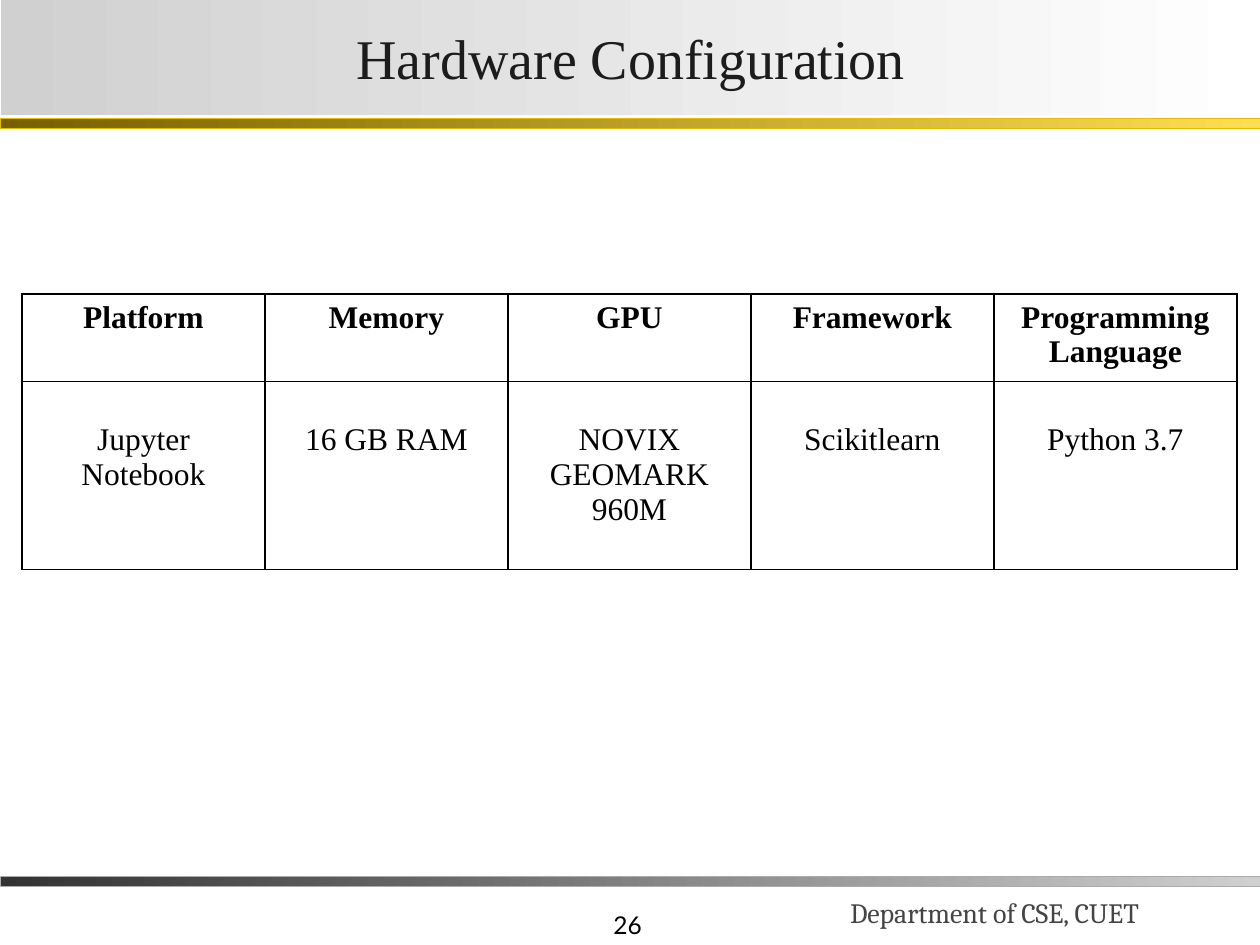
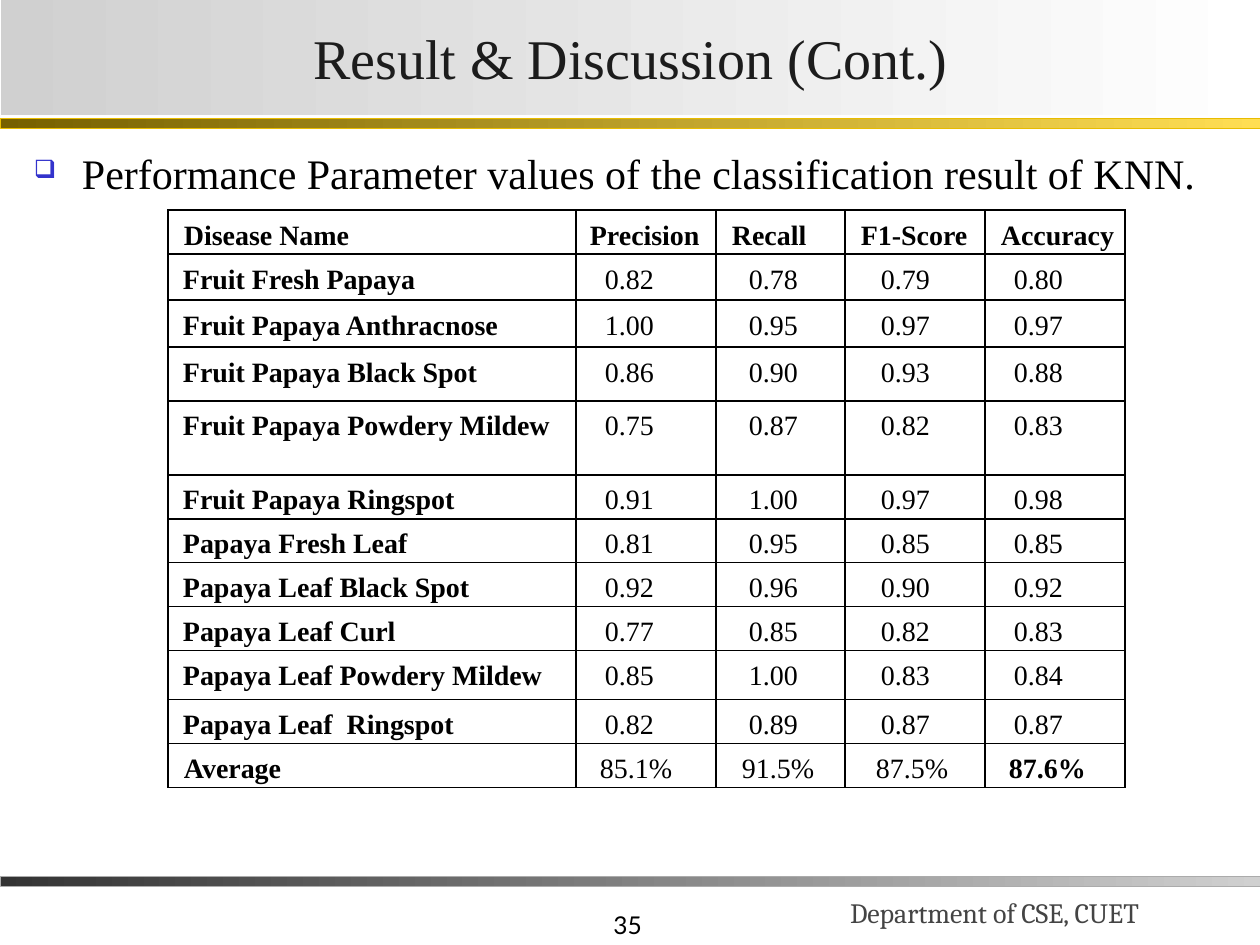
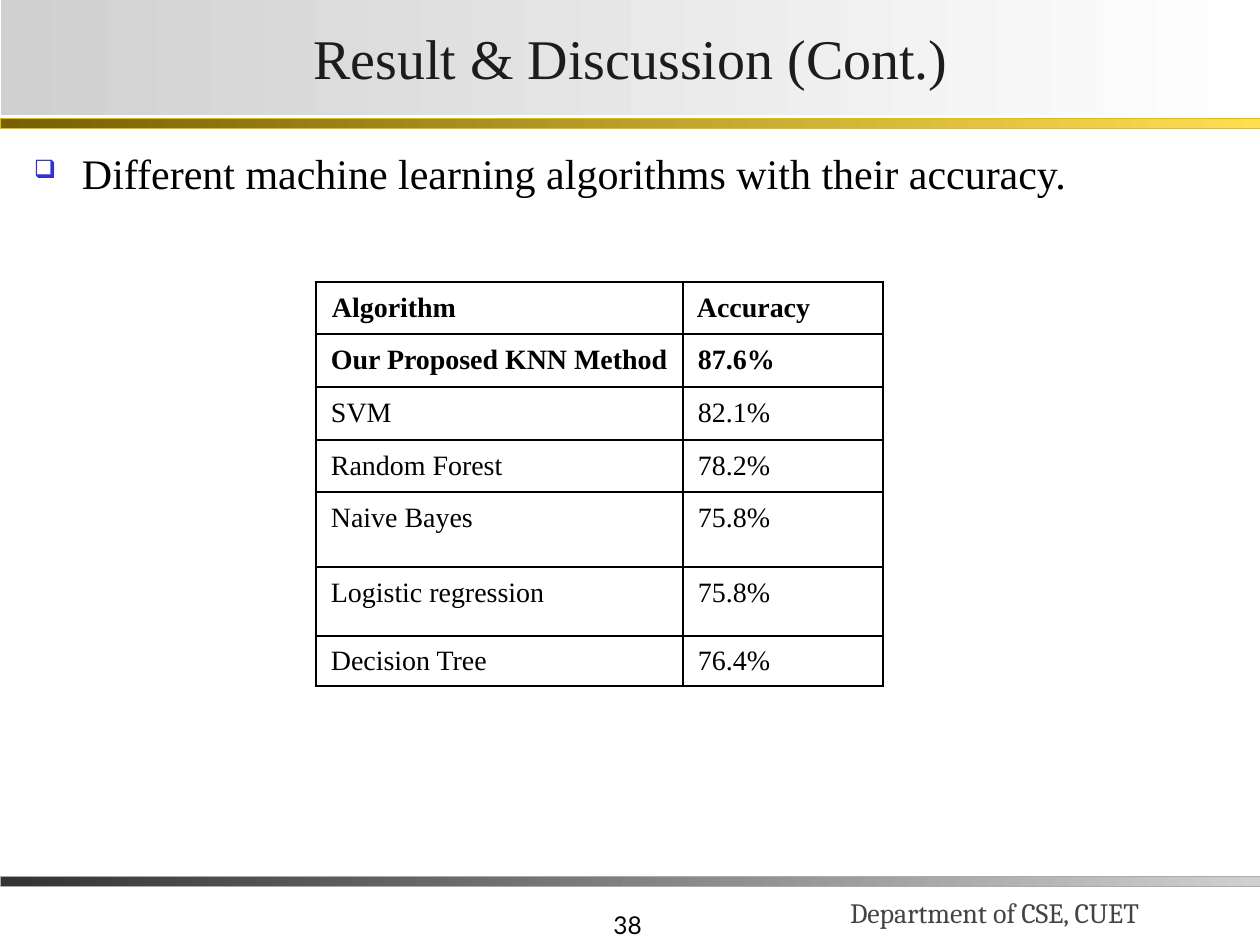
"""Build three project-report slides with shared bands, titles and ruled tables."""
from dataclasses import dataclass
from typing import Any, Optional

import lxml.etree
import pptx
import pptx.dml.color
import pptx.enum.shapes
import pptx.enum.text
import pptx.oxml.ns
import pptx.util

PIXELS_PER_INCH = 126
ALIGN = pptx.enum.text.PP_ALIGN
ANCHOR = pptx.enum.text.MSO_ANCHOR


@dataclass(frozen=True)
class Theme:
    serif: str = "Times New Roman"
    footer_font: str = "Cambria"
    number_font: str = "Lato"
    title_size: int = 32
    body_size: int = 24
    hardware_size: int = 18
    result_size: int = 16
    footer_size: int = 16
    number_size: int = 14
    black: str = "000000"
    white: str = "FFFFFF"
    title_ink: str = "1C1C1C"
    footer_ink: str = "444444"
    bullet_ink: str = "3333CC"
    silver: str = "D0D0D0"


THEME = Theme()


@dataclass(frozen=True)
class Area:
    left: int
    top: int
    width: int
    height: int


@dataclass(frozen=True)
class Band:
    area: Area
    start: str
    end: str
    outline: Optional[str] = None


@dataclass(frozen=True)
class Margins:
    left: int = 13
    top: int = 6
    right: int = 13
    bottom: int = 6


@dataclass(frozen=True)
class RowStyle:
    height: int
    indents: tuple[int, ...]
    margins: Margins
    bold: bool = False


@dataclass(frozen=True)
class Grid:
    left: int
    top: int
    columns: tuple[int, ...]
    styles: tuple[RowStyle, ...]
    rows: tuple[tuple[str, ...], ...]
    size: int
    align: Any = ALIGN.LEFT
    line_spacing: float = 1.0
    bold_columns: int = 0
    bold_text: str = ""


@dataclass(frozen=True)
class Page:
    title: str
    number: str
    grid: Grid
    statement: str = ""


FOOTER_BAND = Band(Area(0, 876, 1260, 10), "333333", THEME.silver, "ABABAB")
GOLD_BAND = Band(Area(0, 118, 1260, 10), "766000", "FFDE53", "E8BC00")
TITLE_BAND = Band(Area(1, 0, 1260, 115), THEME.silver, THEME.white)
NUMBER_AREA = Area(393, 882, 262, 63)
FOOTER_AREA = Area(837, 857, 433, 78)
STATEMENT_AREA = Area(21, 136, 1191, 746)
STATEMENT_INDENT = 48

SNUG = Margins(14, 8, 5, 0)
HARDWARE_GRID = Grid(
    left=22, top=294, columns=(243,) * 5, size=THEME.hardware_size, align=ALIGN.CENTER,
    styles=(
        RowStyle(84, (0,) * 5, Margins(), bold=True),
        RowStyle(188, (0,) * 5, Margins(top=41)),
    ),
    rows=(
        ("Platform", "Memory", "GPU", "Framework", "Programming Language"),
        ("Jupyter Notebook", "16 GB RAM", "NOVIX GEOMARK\n960M", "Scikitlearn", "Python 3.7"),
    ),
)
SCORE_GRID = Grid(
    left=168, top=210, columns=(408, 140, 129, 140, 140), size=THEME.result_size,
    line_spacing=1.07, bold_columns=1, bold_text="87.6%",
    styles=(
        RowStyle(42, (2, 0, 2, 2, 2), SNUG, bold=True),
        *(RowStyle(height, (1, 15, 19, 22, 15), SNUG)
          for height in (46, 47, 54, 74, 44, 41, 41, 41, 49, 41)),
        RowStyle(41, (2, 10, 12, 17, 10), SNUG),
    ),
    rows=(
        ("Disease Name", "Precision", "Recall", "F1-Score", "Accuracy"),
        ("Fruit Fresh Papaya", "0.82", "0.78", "0.79", "0.80"),
        ("Fruit Papaya Anthracnose", "1.00", "0.95", "0.97", "0.97"),
        ("Fruit Papaya Black Spot", "0.86", "0.90", "0.93", "0.88"),
        ("Fruit Papaya Powdery Mildew", "0.75", "0.87", "0.82", "0.83"),
        ("Fruit Papaya Ringspot", "0.91", "1.00", "0.97", "0.98"),
        ("Papaya Fresh Leaf", "0.81", "0.95", "0.85", "0.85"),
        ("Papaya Leaf Black Spot", "0.92", "0.96", "0.90", "0.92"),
        ("Papaya Leaf Curl", "0.77", "0.85", "0.82", "0.83"),
        ("Papaya Leaf Powdery Mildew", "0.85", "1.00", "0.83", "0.84"),
        ("Papaya Leaf  Ringspot", "0.82", "0.89", "0.87", "0.87"),
        ("Average", "85.1%", "91.5%", "87.5%", "87.6%"),
    ),
)
ALGORITHM_GRID = Grid(
    left=316, top=282, columns=(367, 200), size=THEME.result_size, line_spacing=1.07,
    styles=(
        RowStyle(52, (2, 0), SNUG, bold=True),
        RowStyle(53, (1, 1), SNUG, bold=True),
        *(RowStyle(height, (1, 1), SNUG) for height in (53, 52, 75, 69, 50)),
    ),
    rows=(
        ("Algorithm", "Accuracy"),
        ("Our Proposed KNN Method", "87.6%"),
        ("SVM", "82.1%"),
        ("Random Forest", "78.2%"),
        ("Naive Bayes", "75.8%"),
        ("Logistic regression", "75.8%"),
        ("Decision Tree", "76.4%"),
    ),
)
PAGES = (
    Page("Hardware Configuration", "26", HARDWARE_GRID),
    Page("Result & Discussion (Cont.)", "35", SCORE_GRID,
         "Performance Parameter values of the classification result of KNN."),
    Page("Result & Discussion (Cont.)", "38", ALGORITHM_GRID,
         "Different machine learning algorithms with their accuracy."),
)


def px(length: int) -> int:
    return pptx.util.Emu(round(length * 914400 / PIXELS_PER_INCH))


def bounds(area: Area) -> tuple[int, ...]:
    return px(area.left), px(area.top), px(area.width), px(area.height)


def rgb(value: str) -> pptx.dml.color.RGBColor:
    return pptx.dml.color.RGBColor.from_string(value)


def add_element(parent: Any, tag: str, **attributes: str) -> Any:
    return lxml.etree.SubElement(parent, pptx.oxml.ns.qn(tag), attributes)


def set_margins(target: Any, margins: Margins) -> None:
    target.margin_left, target.margin_top = px(margins.left), px(margins.top)
    target.margin_right, target.margin_bottom = px(margins.right), px(margins.bottom)


def write_text(frame: Any, text: str, *, size: int, font: str = THEME.serif,
               color: str = THEME.black, bold: bool = False, align: Any = ALIGN.LEFT,
               line_spacing: float = 1.0, indent: int = 0, bullet: str = "") -> None:
    frame.word_wrap = True
    for index, line in enumerate(text.split("\n")):
        para = frame.add_paragraph() if index else frame.paragraphs[0]
        para.alignment = align
        para.line_spacing = line_spacing
        properties = para._p.get_or_add_pPr()
        properties.set("marL", str(px(indent)))
        if bullet:
            properties.set("indent", str(-px(indent)))
            ink = add_element(properties, "a:buClr")
            add_element(ink, "a:srgbClr", val=THEME.bullet_ink)
            add_element(properties, "a:buSzPct", val="60000")
            add_element(properties, "a:buChar", char=bullet)
        span = para.add_run()
        span.text = line
        span.font.name = font
        span.font.size = pptx.util.Pt(size)
        span.font.bold = bold
        span.font.color.rgb = rgb(color)


def add_text_box(slide: Any, area: Area, text: str, *, anchor: Any = ANCHOR.TOP,
                 margins: Margins = Margins(), **text_format: Any) -> None:
    box = slide.shapes.add_textbox(*bounds(area))
    box.text_frame.vertical_anchor = anchor
    set_margins(box.text_frame, margins)
    write_text(box.text_frame, text, **text_format)


def add_band(slide: Any, band: Band) -> Any:
    shape = slide.shapes.add_shape(pptx.enum.shapes.MSO_SHAPE.RECTANGLE, *bounds(band.area))
    shape.shadow.inherit = False
    shape.fill.gradient()
    shape.fill.gradient_angle = 0
    for stop, color in zip(shape.fill.gradient_stops, (band.start, band.end)):
        stop.color.rgb = rgb(color)
    if band.outline:
        shape.line.color.rgb = rgb(band.outline)
        shape.line.width = pptx.util.Pt(0.25)
    else:
        shape.line.fill.background()
    return shape


def add_frame(slide: Any, page: Page) -> None:
    add_text_box(slide, NUMBER_AREA, page.number, anchor=ANCHOR.BOTTOM, align=ALIGN.RIGHT,
                 size=THEME.number_size, font=THEME.number_font)
    add_text_box(slide, FOOTER_AREA, "Department of CSE, CUET", anchor=ANCHOR.BOTTOM,
                 size=THEME.footer_size, font=THEME.footer_font, color=THEME.footer_ink)
    add_band(slide, FOOTER_BAND)
    add_band(slide, GOLD_BAND)
    title = add_band(slide, TITLE_BAND).text_frame
    title.vertical_anchor = ANCHOR.MIDDLE
    set_margins(title, Margins(2, 1, 2, 1))
    write_text(title, page.title, size=THEME.title_size, color=THEME.title_ink,
               align=ALIGN.CENTER)


def style_cell(cell: Any, margins: Margins) -> None:
    set_margins(cell, margins)
    properties = cell._tc.get_or_add_tcPr()
    for side in ("a:lnL", "a:lnR", "a:lnT", "a:lnB"):
        border = add_element(properties, side, w=str(pptx.util.Pt(1)))
        fill = add_element(border, "a:solidFill")
        add_element(fill, "a:srgbClr", val=THEME.black)
    cell.fill.solid()
    cell.fill.fore_color.rgb = rgb(THEME.white)


def add_grid(slide: Any, grid: Grid) -> None:
    area = Area(grid.left, grid.top, sum(grid.columns),
                sum(style.height for style in grid.styles))
    table = slide.shapes.add_table(len(grid.rows), len(grid.columns), *bounds(area)).table
    table.first_row = table.horz_banding = False
    for column, width in zip(table.columns, grid.columns):
        column.width = px(width)
    for row, style, texts in zip(table.rows, grid.styles, grid.rows):
        row.height = px(style.height)
        for index, (cell, text) in enumerate(zip(row.cells, texts)):
            style_cell(cell, style.margins)
            bold = style.bold or index < grid.bold_columns or text == grid.bold_text
            write_text(cell.text_frame, text, size=grid.size, bold=bold, align=grid.align,
                       line_spacing=grid.line_spacing, indent=style.indents[index])


def main() -> None:
    deck = pptx.Presentation()
    deck.slide_width, deck.slide_height = px(1260), px(945)
    for page in PAGES:
        slide = deck.slides.add_slide(deck.slide_layouts[6])
        add_frame(slide, page)
        if page.statement:
            add_text_box(slide, STATEMENT_AREA, page.statement, margins=Margins(top=11),
                         size=THEME.body_size, align=ALIGN.JUSTIFY,
                         indent=STATEMENT_INDENT, bullet="❑")
        add_grid(slide, page.grid)
    deck.save("out.pptx")


if __name__ == "__main__":
    main()
